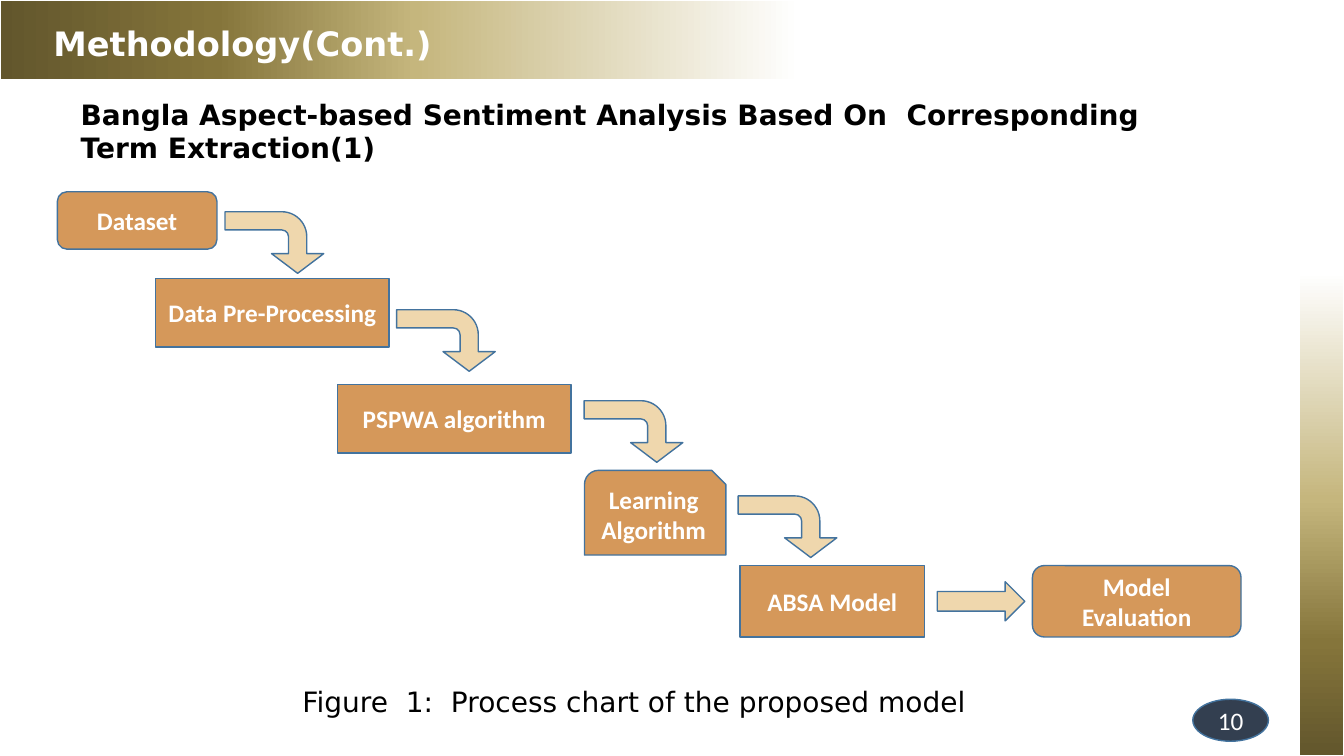
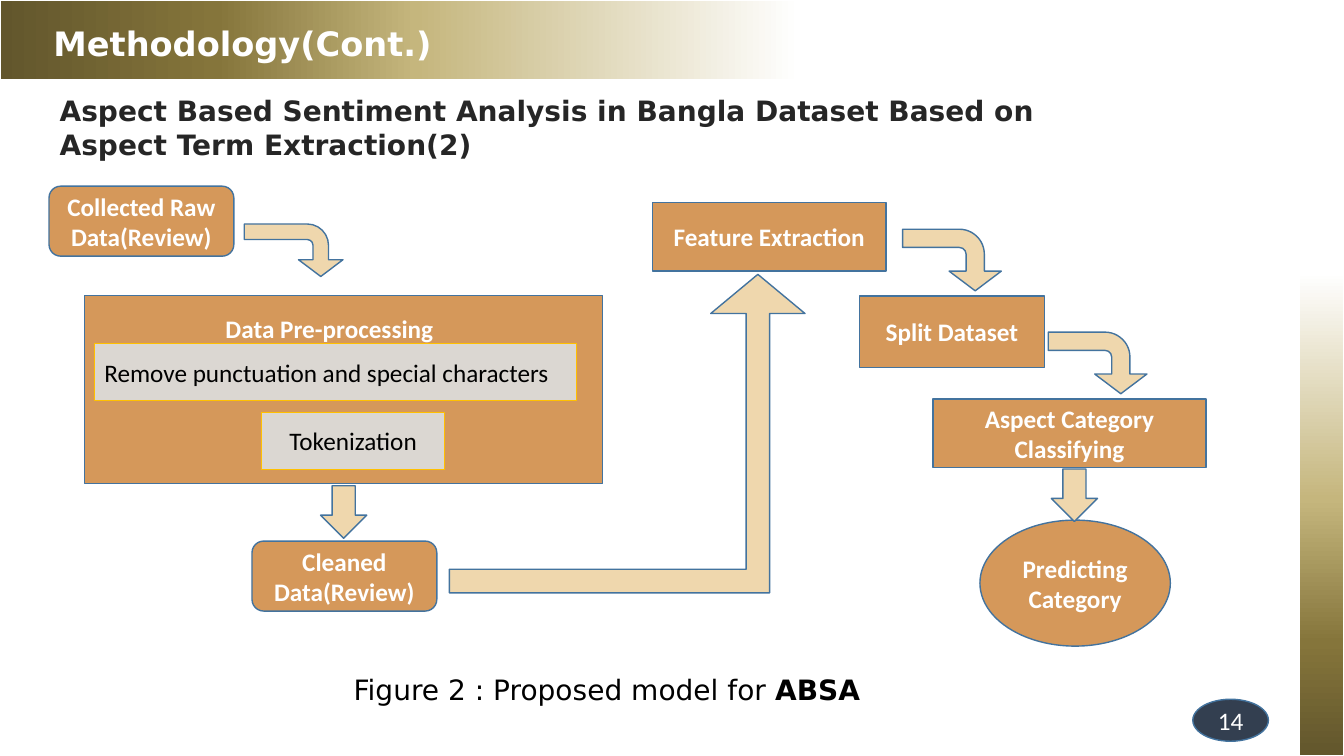
from lxml import etree
from pptx import Presentation
from pptx.dml.color import RGBColor
from pptx.enum import shapes, text
from pptx.oxml.ns import qn
from pptx.util import Pt

HUE = {"box": "D5985A", "arrow": "EFD7AD", "edge": "43739E", "badge": "333F50",
       "step": "DEEBF7", "gold": "FFC000", "white": "FFFFFF", "black": "000000",
       "gray": "262626", "dark": "62562C", "mid": "85753B", "light": "C5B67D"}
KIND = shapes.MSO_SHAPE
MID, TOP = text.MSO_ANCHOR.MIDDLE, text.MSO_ANCHOR.TOP
LEFT, CENTER = text.PP_ALIGN.LEFT, text.PP_ALIGN.CENTER

LABEL = {"name": "Calibri", "size": Pt(18), "bold": True}
PLAIN = {**LABEL, "bold": False}
TITLE = {"name": "DejaVu Sans", "size": Pt(24), "bold": True}
HEAD = {**TITLE, "size": Pt(20)}
NOTE = {**HEAD, "bold": False}
BEND = [0.296, 0.424, 0.319, 0.406]
RISE = [0.074, 0.148, 0.123]


def draw(page, kind, box, fill="box", edge="edge", width=1, turn=0, adjust=()):
    item = page.shapes.add_shape(kind, *map(Pt, box))
    item.shadow.inherit = False
    item.rotation = turn
    for i, value in enumerate(adjust):
        item.adjustments[i] = value
    item.fill.solid()
    item.fill.fore_color.rgb = RGBColor.from_string(HUE[fill])
    item.line.color.rgb = RGBColor.from_string(HUE[edge])
    item.line.width = Pt(width)
    return item


def write(item, parts, style, hue="white", align=CENTER, anchor=MID, wrap=True):
    frame = item.text_frame
    frame.word_wrap = wrap
    frame.vertical_anchor = anchor
    para = frame.paragraphs[0]
    para.alignment = align
    for words, extra in parts:
        run = para.add_run()
        run.text = words
        run.font.color.rgb = RGBColor.from_string(HUE[hue])
        for key, value in {**style, **extra}.items():
            setattr(run.font, key, value)


pages = [
    {
        "number": "10",
        "head": ("Bangla Aspect-based Sentiment Analysis Based On  Corresponding Term Extraction(1)",
                 (50.5, 66, 793.5, 55.5), "black"),
        "note": ([("Figure  1:  Process chart of the proposed model", {})], (209, 485.5, 499, 32)),
        "boxes": [
            (KIND.FLOWCHART_ALTERNATE_PROCESS, (41, 137, 114, 41), "Dataset"),
            (KIND.RECTANGLE, (111, 199, 167, 49), "Data Pre-Processing"),
            (KIND.RECTANGLE, (241, 274.5, 167, 49), "PSPWA algorithm"),
            (KIND.SNIP_ROUND_RECTANGLE, (417.5, 336, 101, 60.5), "Learning Algorithm"),
            (KIND.RECTANGLE, (528.5, 404, 132, 51), "ABSA Model"),
            (KIND.ROUNDED_RECTANGLE, (737.5, 404, 149, 51), "Model Evaluation"),
        ],
        "bends": [(174, 138, 44, 70.5), (296.5, 208, 44, 70.5),
                  (430.5, 273, 44, 70.5), (540.5, 341, 44, 70.5)],
        "arrows": [(KIND.RIGHT_ARROW, (669.5, 415.5, 62.5, 28), ())],
        "steps": [],
        "labels": [],
    },
    {
        "number": "14",
        "head": ("Aspect Based Sentiment Analysis in Bangla Dataset Based on Aspect Term Extraction(2)",
                 (35.5, 63.5, 793.5, 55.5), "gray"),
        "note": ([("Figure 2 : Proposed model for ", {}), ("ABSA", {"bold": True})],
                 (245.5, 476.5, 386, 32)),
        "boxes": [
            (KIND.FLOWCHART_ALTERNATE_PROCESS, (35, 133, 132, 50), "Collected Raw Data(Review)"),
            (KIND.RECTANGLE, (60.5, 211, 370, 134.5), ""),
            (KIND.FLOWCHART_ALTERNATE_PROCESS, (180, 386.5, 132, 50), "Cleaned Data(Review)"),
            (KIND.RECTANGLE, (466, 144.5, 167, 49), "Feature Extraction"),
            (KIND.RECTANGLE, (614, 211.5, 132, 51), "Split Dataset"),
            (KIND.RECTANGLE, (666.5, 285, 195, 49), "Aspect Category Classifying"),
            (KIND.OVAL, (700, 371.5, 136, 90), "Predicting Category"),
        ],
        "bends": [(191, 143.5, 37.5, 70.5), (658, 150.5, 44, 70.5), (762, 224, 44, 70.5)],
        "arrows": [
            (KIND.DOWN_ARROW, (229, 347, 33, 37.5), ()),
            (KIND.BENT_UP_ARROW, (321, 196, 254, 227.5), RISE),
            (KIND.DOWN_ARROW, (751, 335, 33, 37.5), ()),
        ],
        "steps": [
            ((67.5, 245.5, 344, 40.5), "Remove punctuation and special characters", LEFT),
            ((187, 294.5, 130.5, 40.5), "Tokenization", CENTER),
        ],
        "labels": [((154, 220.5, 164, 29), "Data Pre-processing")],
    },
]

deck = Presentation()
deck.slide_width, deck.slide_height = Pt(960), Pt(540)
layout = deck.slide_layouts[5]
slides = [deck.slides.add_slide(layout) for page in pages]

bands = [((0, 0, 571.5, 57), 0, (0, 27, 52, 100)),
         ((674, 254, 540, 32), 270, (0, 15, 34, 64))]
for i, (box, turn, stops) in enumerate(bands):
    band = draw(slides[0], KIND.RECTANGLE, box, edge="white", turn=turn)
    band.name = f"Band {i + 1}"
    band.fill.gradient()
    band.fill.gradient_angle = 0
    ramp = band._element.spPr.find(qn("a:gradFill")).find(qn("a:gsLst"))
    for old in list(ramp):
        ramp.remove(old)
    for stop, hue in zip(stops, ("dark", "mid", "light", "white")):
        mark = etree.SubElement(ramp, qn("a:gs"), pos=str(stop * 1000))
        etree.SubElement(mark, qn("a:srgbClr"), val=HUE[hue])
    band._element.nvSpPr.cNvPr.set("id", str(20 + i))
    layout.shapes._spTree.append(band._element)

for slide, page in zip(slides, pages):
    title = slide.shapes.title
    title.left, title.top, title.width, title.height = map(Pt, (31, 0, 664, 62))
    write(title, [("Methodology(Cont.)", {})], TITLE, align=LEFT)

    words, box, hue = page["head"]
    head = slide.shapes.add_textbox(*map(Pt, box))
    write(head, [(words, {})], HEAD, hue, LEFT, TOP)

    for kind, box, words in page["boxes"]:
        item = draw(slide, kind, box)
        if words:
            write(item, [(words, {})], LABEL)
    for box in page["bends"]:
        draw(slide, KIND.BENT_ARROW, box, "arrow", turn=90, adjust=BEND)
    for kind, box, adjust in page["arrows"]:
        draw(slide, kind, box, "arrow", adjust=adjust)
    for box, words, align in page["steps"]:
        step = draw(slide, KIND.RECTANGLE, box, "step", "gold", 0.5)
        tint = step._element.spPr.find(qn("a:solidFill"))[0]
        etree.SubElement(tint, qn("a:alpha"), val="77000")
        write(step, [(words, {})], PLAIN, "black", align)
    for box, words in page["labels"]:
        label = slide.shapes.add_textbox(*map(Pt, box))
        write(label, [(words, {})], LABEL, align=LEFT, anchor=TOP, wrap=False)

    parts, box = page["note"]
    note = slide.shapes.add_textbox(*map(Pt, box))
    write(note, parts, NOTE, "black", LEFT, TOP, False)
    badge = draw(slide, KIND.OVAL, (852, 499.5, 54, 30), "badge")
    write(badge, [(page["number"], {})], PLAIN)

deck.save("out.pptx")
